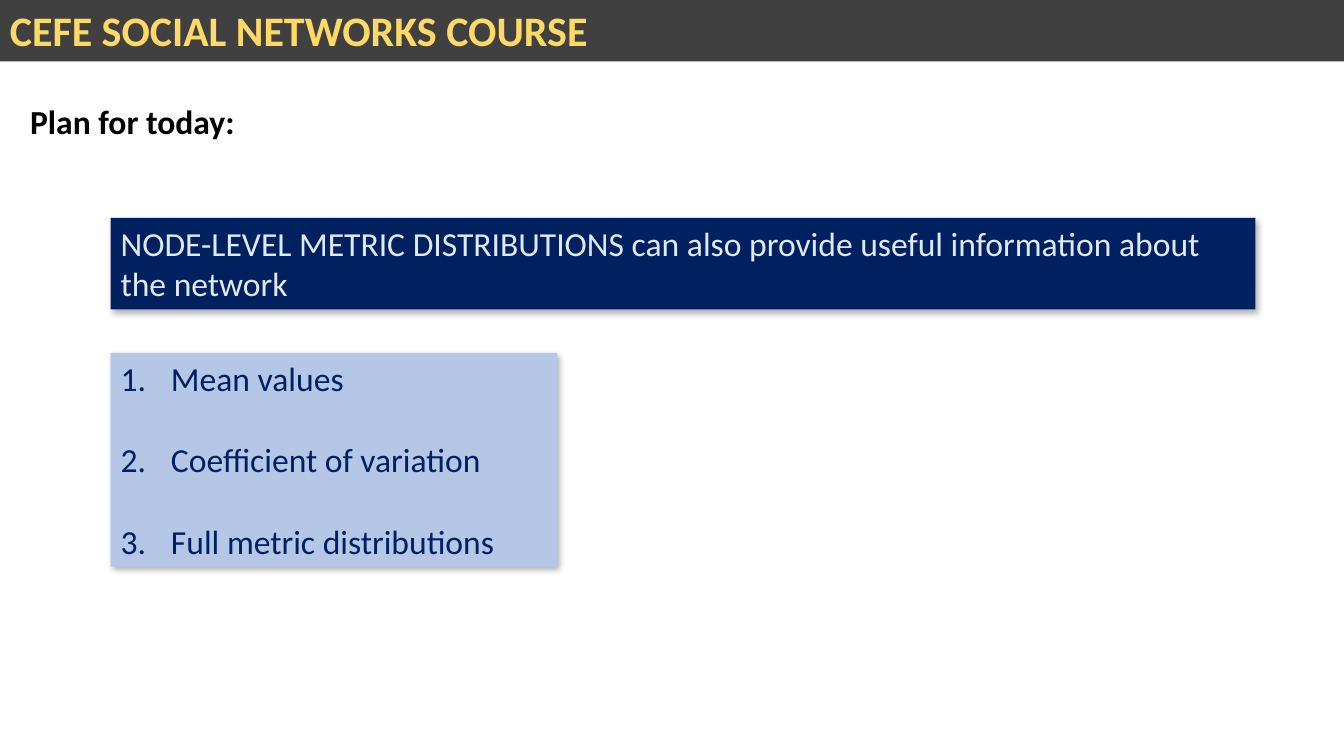
from lxml import etree
from pptx import Presentation
from pptx.dml.color import RGBColor
from pptx.oxml import ns
from pptx.util import Cm, Pt

COLORS = {
    "black": "000000",
    "gray": "404040",
    "gold": "FFD966",
    "navy": "002060",
    "pale": "DEEBF7",
    "sky": "B4C7E7",
}


def add_sub(node, tag, **attrs):
    return etree.SubElement(node, ns.qn(tag), attrs)


def add_text(lines, box, color, size=24, bold=False, fill=None,
             shadow=False, steps=False):
    """Add a text box; steps numbers its lines and spaces them one line apart."""
    shape = slide.shapes.add_textbox(*[Cm(n) for n in box])
    if fill:
        shape.fill.solid()
        shape.fill.fore_color.rgb = RGBColor.from_string(COLORS[fill])
    if shadow:
        effects = add_sub(shape.element.spPr, "a:effectLst")
        outer = add_sub(effects, "a:outerShdw", blurRad=str(Pt(4.5)),
                        dist=str(Pt(2.6)), dir=str(53 * 60000),
                        algn="ctr", rotWithShape="0")
        shade = add_sub(outer, "a:srgbClr", val=COLORS["black"])
        add_sub(shade, "a:alpha", val="30000")
    frame = shape.text_frame
    frame.word_wrap = True
    for i, line in enumerate(lines):
        par = frame.add_paragraph() if i else frame.paragraphs[0]
        if steps:
            props = par._p.get_or_add_pPr()
            props.set("marL", str(Cm(1.27)))
            props.set("indent", str(-Cm(1.27)))
            add_sub(props, "a:buFont", typeface="+mj-lt")
            add_sub(props, "a:buAutoNum", type="arabicPeriod")
            if i:
                par.space_before = Pt(29.3)
        run = par.add_run()
        run.text = line
        run.font.name = "Calibri"
        run.font.size = Pt(size)
        run.font.bold = bold
        run.font.color.rgb = RGBColor.from_string(COLORS[color])


deck = Presentation()
deck.slide_width, deck.slide_height = Cm(33.87), Cm(19.05)
slide = deck.slides.add_slide(deck.slide_layouts[6])

add_text(["Plan for today:"], (0.51, 2.41, 32.46, 3.33), "black", bold=True)
add_text(["CEFE SOCIAL NETWORKS COURSE"], (0, 0, 33.87, 1.55), "gold",
         size=30, bold=True, fill="gray")
add_text(["NODE-LEVEL METRIC DISTRIBUTIONS can also provide useful "
          "information about the network"],
         (2.79, 5.49, 28.85, 2.31), "pale", fill="navy", shadow=True)
add_text(["Mean values", "Coefficient of variation",
          "Full metric distributions"],
         (2.79, 8.89, 11.25, 5.39), "navy", fill="sky", shadow=True,
         steps=True)

deck.save("out.pptx")
